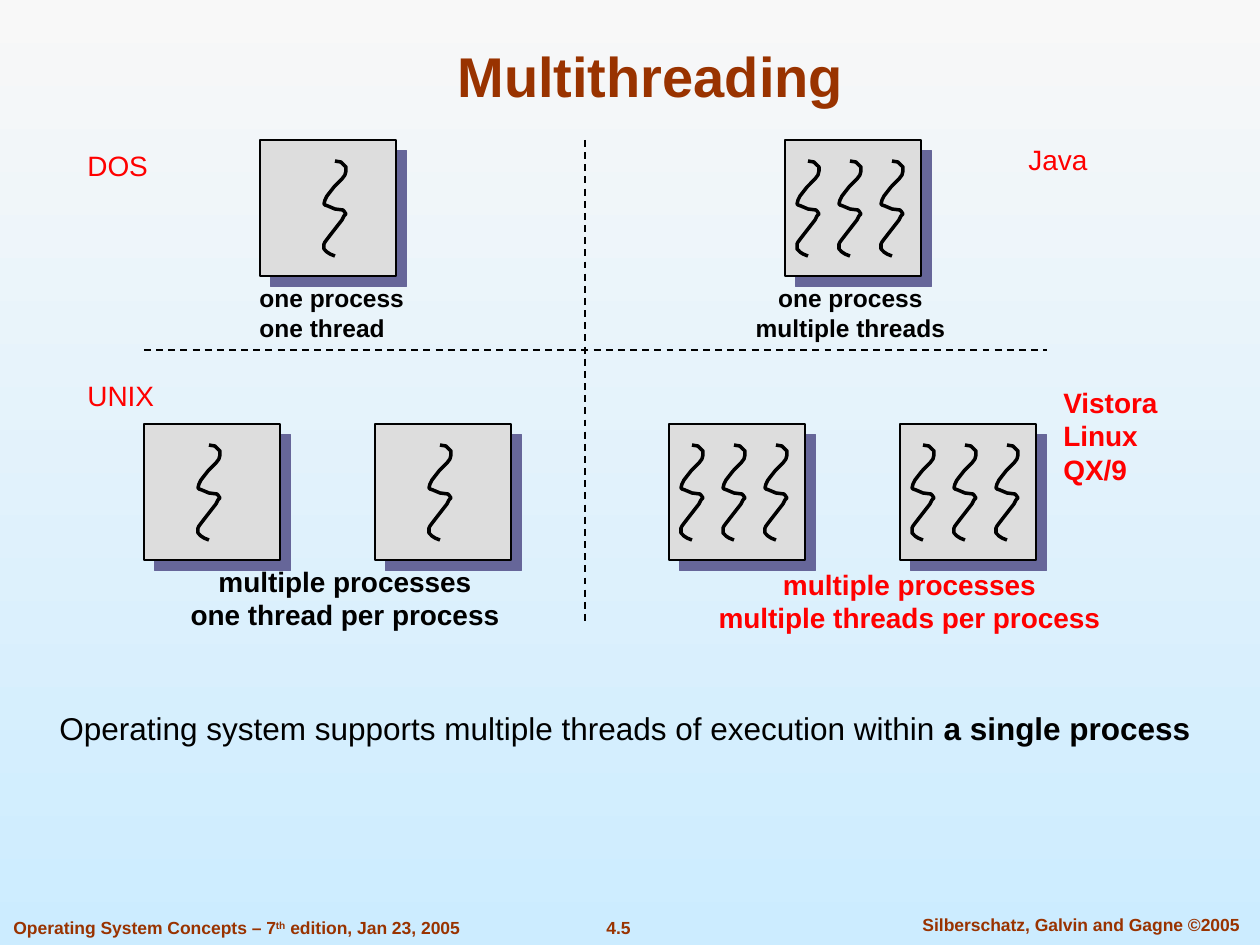
from dataclasses import dataclass

from lxml.etree import SubElement
from pptx import Presentation
from pptx.dml.color import RGBColor
from pptx.enum.dml import MSO_LINE
from pptx.enum.shapes import MSO_CONNECTOR, MSO_SHAPE
from pptx.enum.text import MSO_ANCHOR, MSO_AUTO_SIZE, PP_ALIGN
from pptx.oxml.ns import qn
from pptx.util import Pt

EMU_PER_PX = 914400 / 126
FONT = "Arial"
BLACK, RED, BROWN = "000000", "FF0000", "993300"
BOX_GRAY, SHADOW_BLUE = "DDDDDD", "666699"
SKY_TOP, SKY_BOTTOM = "F8F8F8", "CCECFF"
BOX_SIZE = 136
SQUIGGLE = (
    (11, 0), (17, 1), (20, 4), (22, 6), (22, 10), (21, 14), (18, 18), (10, 26),
    (3, 35), (1, 39), (0, 43), (1, 44), (4, 45), (11, 48), (19, 49), (20, 50),
    (22, 53), (20, 55), (18, 59), (11, 68), (4, 77), (1, 81), (0, 83), (0, 88),
    (3, 91), (6, 93), (11, 95),
)
ONE_THREAD = (54,)
THREE_THREADS = (12, 54, 96)


@dataclass(frozen=True)
class Span:
    text: str
    bold: bool
    raised: bool = False


@dataclass(frozen=True)
class Label:
    text: str
    left: int
    top: int
    width: int
    height: int
    size: int = 16
    color: str = BLACK
    bold: bool = False
    centered: bool = False
    wrap: bool = True
    line_spacing: float = 1.0
    more: tuple[Span, ...] = ()


@dataclass(frozen=True)
class Process:
    left: int
    top: int
    threads: tuple[int, ...]


@dataclass(frozen=True)
class Divider:
    start: tuple[int, int]
    end: tuple[int, int]


LABELS = (
    Label("4.5", 557, 911, 123, 34, size=10, color=BROWN, bold=True, centered=True, wrap=False),
    Label("Silberschatz, Galvin and Gagne ©2005", 894, 908, 374, 34,
          size=10, color=BROWN, bold=True, centered=True),
    Label("Operating System Concepts – 7", 1, 911, 510, 34,
          size=10, color=BROWN, bold=True,
          more=(Span("th", True, True), Span(" edition, Jan 23, 2005", True))),
    Label("DOS", 75, 142, 120, 47, color=RED),
    Label("UNIX", 75, 372, 120, 47, color=RED),
    Label("Vistora\nLinux\nQX/9", 1051, 379, 188, 113, color=RED, bold=True),
    Label("Java", 1016, 136, 120, 47, color=RED),
    Label("Operating system supports multiple threads of execution within", 47, 684, 1213, 69,
          size=18, line_spacing=1.5, more=(Span(" a single process", True),)),
    Label("one process\none thread", 247, 277, 170, 72, size=14, bold=True, wrap=False),
    Label("one process\nmultiple threads", 743, 277, 215, 72,
          size=14, bold=True, centered=True, wrap=False),
    Label("multiple processes\none thread per process", 178, 558, 334, 79,
          bold=True, centered=True, wrap=False),
    Label("multiple processes\nmultiple threads per process", 706, 561, 407, 79,
          color=RED, bold=True, centered=True, wrap=False),
)
PROCESSES = (
    Process(260, 140, (64,)),
    Process(785, 140, THREE_THREADS),
    Process(144, 424, ONE_THREAD),
    Process(375, 424, ONE_THREAD),
    Process(669, 424, THREE_THREADS),
    Process(900, 424, THREE_THREADS),
)
DIVIDERS = (
    Divider((585, 140), (585, 624)),
    Divider((144, 350), (1047, 350)),
)


def px(length: int) -> int:
    return round(length * EMU_PER_PX)


def rgb(color: str) -> RGBColor:
    return RGBColor.from_string(color)


def add_span(para, text: str, *, size: int, color: str, bold: bool = False,
             raised: bool = False) -> None:
    span = para.add_run()
    span.text = text
    span.font.name = FONT
    span.font.size = Pt(size)
    span.font.bold = bold
    span.font.color.rgb = rgb(color)
    if raised:
        span._r.get_or_add_rPr().set("baseline", "30000")


def draw_label(page, label: Label) -> None:
    box = page.shapes.add_textbox(
        px(label.left), px(label.top), px(label.width), px(label.height))
    frame = box.text_frame
    frame.word_wrap = label.wrap
    frame.auto_size = MSO_AUTO_SIZE.SHAPE_TO_FIT_TEXT
    for index, line in enumerate(label.text.split("\n")):
        para = frame.add_paragraph() if index else frame.paragraphs[0]
        para.alignment = PP_ALIGN.CENTER if label.centered else PP_ALIGN.LEFT
        para.line_spacing = label.line_spacing
        add_span(para, line, size=label.size, color=label.color, bold=label.bold)
    for span in label.more:
        add_span(para, span.text, size=label.size, color=label.color,
                 bold=span.bold, raised=span.raised)


def add_hard_shadow(shape) -> None:
    shape.shadow.inherit = False
    effects = shape._element.spPr.find(qn("a:effectLst"))
    shadow = SubElement(effects, qn("a:outerShdw"), dist=str(Pt(8.5)), dir="2700000",
                        algn="ctr", rotWithShape="0")
    SubElement(shadow, qn("a:srgbClr"), val=SHADOW_BLUE)


def draw_thread(page, left: int, top: int) -> None:
    builder = page.shapes.build_freeform(*SQUIGGLE[0], scale=EMU_PER_PX)
    builder.add_line_segments(SQUIGGLE[1:], close=False)
    thread = builder.convert_to_shape(px(left), px(top))
    thread.shadow.inherit = False
    thread.fill.background()
    thread.line.color.rgb = rgb(BLACK)
    thread.line.width = Pt(2)


def draw_process(page, process: Process) -> None:
    box = page.shapes.add_shape(
        MSO_SHAPE.RECTANGLE, px(process.left), px(process.top), px(BOX_SIZE), px(BOX_SIZE))
    box.fill.solid()
    box.fill.fore_color.rgb = rgb(BOX_GRAY)
    box.line.color.rgb = rgb(BLACK)
    box.line.width = Pt(1)
    add_hard_shadow(box)
    for offset in process.threads:
        draw_thread(page, process.left + offset, process.top + 21)


def draw_divider(page, divider: Divider) -> None:
    ends = [px(length) for length in (*divider.start, *divider.end)]
    line = page.shapes.add_connector(MSO_CONNECTOR.STRAIGHT, *ends)
    line.line.color.rgb = rgb(BLACK)
    line.line.width = Pt(1)
    line.line.dash_style = MSO_LINE.DASH
    SubElement(line._element.spPr, qn("a:effectLst"))


def draw_title(page, text: str) -> None:
    title = page.shapes.title
    title.left, title.top, title.width, title.height = px(94), px(31), px(1113), px(84)
    title.text_frame.vertical_anchor = MSO_ANCHOR.BOTTOM
    para = title.text_frame.paragraphs[0]
    para.alignment = PP_ALIGN.CENTER
    add_span(para, text, size=32, color=BROWN, bold=True)


def paint_background(page) -> None:
    fill = page.background.fill
    fill.gradient()
    fill.gradient_angle = 270
    for stop, color in zip(fill.gradient_stops, (SKY_TOP, SKY_BOTTOM)):
        stop.color.rgb = rgb(color)


def main() -> None:
    deck = Presentation()
    deck.slide_width, deck.slide_height = px(1260), px(945)
    page = deck.slides.add_slide(deck.slide_layouts[5])
    paint_background(page)
    draw_title(page, "Multithreading")
    for process in PROCESSES:
        draw_process(page, process)
    for label in LABELS:
        draw_label(page, label)
    for divider in DIVIDERS:
        draw_divider(page, divider)
    deck.save("out.pptx")


if __name__ == "__main__":
    main()
